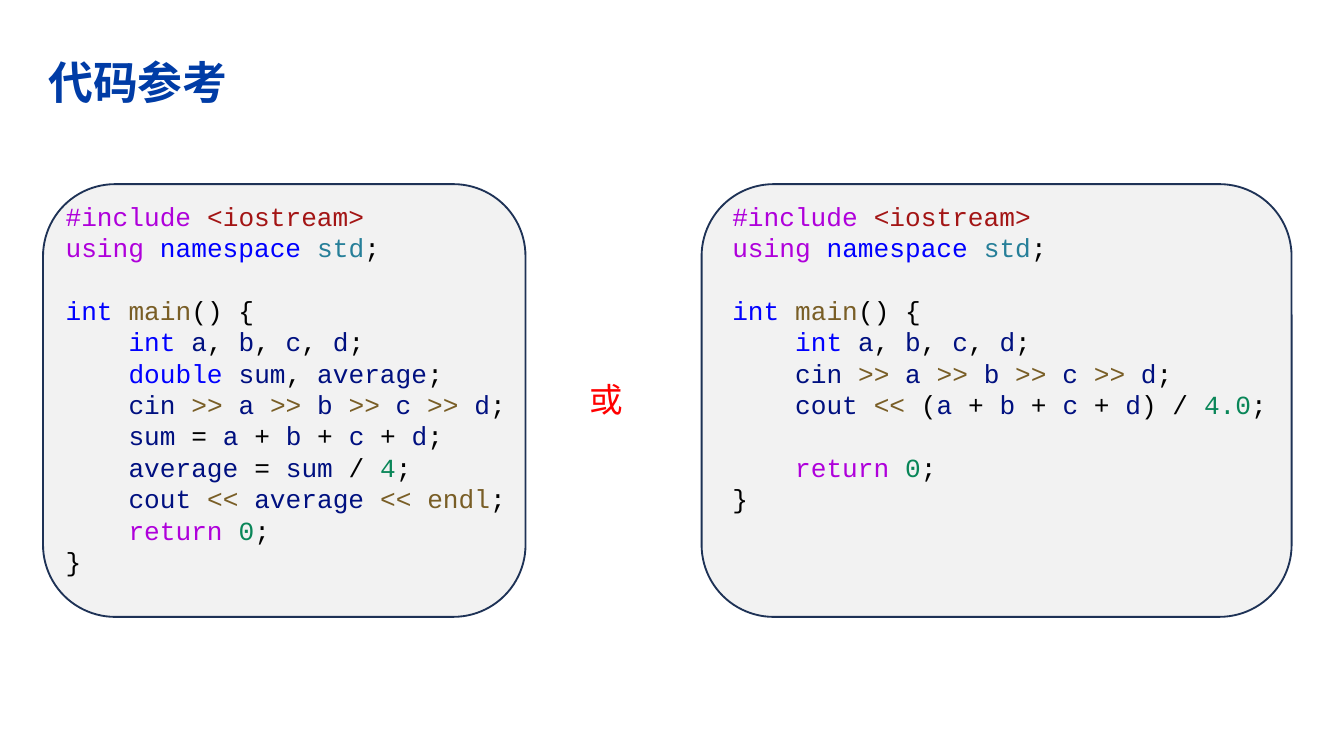
"""Build a slide that sets two C++ solutions side by side."""
from itertools import groupby

from lxml import etree
from pptx import Presentation
from pptx.dml.color import RGBColor
from pptx.enum.shapes import MSO_SHAPE
from pptx.enum.text import MSO_ANCHOR, PP_ALIGN
from pptx.oxml.ns import qn
from pptx.util import Inches, Pt

ROUNDED = MSO_SHAPE.ROUNDED_RECTANGLE
MIDDLE = MSO_ANCHOR.MIDDLE
LEFT = PP_ALIGN.LEFT

TITLE = "代码参考"
OR_WORD = "或"
HEAD = """#include <iostream>
using namespace std;

int main() {
    int a, b, c, d;
"""
PROGRAMS = [
    {
        "panel": (0.32, 1.37, 3.59, 3.22),
        "text": (0.39, 1.44, 3.86, 3.4),
        "code": HEAD + """    double sum, average;
    cin >> a >> b >> c >> d;
    sum = a + b + c + d;
    average = sum / 4;
    cout << average << endl;
    return 0;
}""",
    },
    {
        "panel": (5.22, 1.37, 4.39, 3.22),
        "text": (5.35, 1.44, 4.39, 2.46),
        "code": HEAD + """    cin >> a >> b >> c >> d;
    cout << (a + b + c + d) / 4.0;

    return 0;
}""",
    },
]
COLORS = {
    "title": "003CA6", "or": "FF0000", "panel": "F2F2F2", "outline": "1E3256",
    "control": "AF00DB", "header": "A31515", "keyword": "0000FF",
    "library": "267F99", "function": "795E26", "number": "098658",
    "variable": "001080", "plain": "000000",
}
TOKENS = {
    "control": ["#include", "using", "return"],
    "header": ["<", "iostream", ">"],
    "keyword": ["namespace", "int", "double"],
    "library": ["std"],
    "function": ["main", "<<", ">>", "endl"],
}
ROLES = {token: role for role, tokens in TOKENS.items() for token in tokens}
SLIDE_WIDTH = 10
CODE_SIZE, CODE_LEADING = 14, Pt(16.8)
CODE_FONT, CJK_FONT = "Courier New", "Noto Sans CJK SC"


def rgb(name):
    return RGBColor.from_string(COLORS[name])


def char_class(char):
    if char.isspace():
        return "space"
    return "word" if char.isalnum() or char in "#." else "symbol"


def token_role(token):
    if token in ROLES:
        return ROLES[token]
    if token[0].isdigit():
        return "number"
    return "variable" if token[0].isalpha() else "plain"


def add_span(para, text, color, size, font=CODE_FONT, bold=False):
    span = para.add_run()
    span.text = text
    formats = {"name": font, "size": Pt(size), "bold": bold}
    for key, value in formats.items():
        setattr(span.font, key, value)
    span.font.color.rgb = rgb(color)
    east_asian = etree.SubElement(span._r.get_or_add_rPr(), qn("a:ea"))
    east_asian.set("typeface", CJK_FONT)


def add_panel(page, place):
    panel = page.shapes.add_shape(ROUNDED, *map(Inches, place))
    panel.shadow.inherit = False
    panel.fill.solid()
    panel.fill.fore_color.rgb = rgb("panel")
    panel.line.color.rgb = rgb("outline")
    panel.line.width = Pt(1)


def add_code(page, place, code):
    frame = page.shapes.add_textbox(*map(Inches, place)).text_frame
    frame.word_wrap = True
    para, gap = frame.paragraphs[0], False
    for number, line in enumerate(code.split("\n")):
        if not line:
            gap = True
            continue
        if number:
            para = frame.add_paragraph()
        para.line_spacing = CODE_LEADING
        if gap:
            para.space_before = CODE_LEADING
        gap = False
        for _, chars in groupby(line, char_class):
            token = "".join(chars)
            add_span(para, token, token_role(token), CODE_SIZE)


def add_title(page):
    title = page.shapes.title
    place = {"left": 0.21, "top": 0.27, "width": 9.37, "height": 0.74}
    for key, value in place.items():
        setattr(title, key, Inches(value))
    frame = title.text_frame
    margins = {"left": 0.15, "top": 0.04, "right": 0.07, "bottom": 0.04}
    for side, value in margins.items():
        setattr(frame, f"margin_{side}", Inches(value))
    frame.vertical_anchor = MIDDLE
    para = frame.paragraphs[0]
    para.alignment = LEFT
    para.line_spacing = 0.85
    add_span(para, TITLE, "title", 24, CJK_FONT, True)


def main():
    deck = Presentation()
    deck.slide_width = Inches(SLIDE_WIDTH)
    deck.slide_height = Inches(SLIDE_WIDTH * 9 / 16)
    page = deck.slides.add_slide(deck.slide_layouts[5])
    add_title(page)
    for program in PROGRAMS:
        add_panel(page, program["panel"])
        add_code(page, program["text"], program["code"])
    place = map(Inches, (4.29, 2.77, 0.45, 0.4))
    frame = page.shapes.add_textbox(*place).text_frame
    frame.word_wrap = False
    add_span(frame.paragraphs[0], OR_WORD, "or", 18)
    deck.save("out.pptx")


if __name__ == "__main__":
    main()
